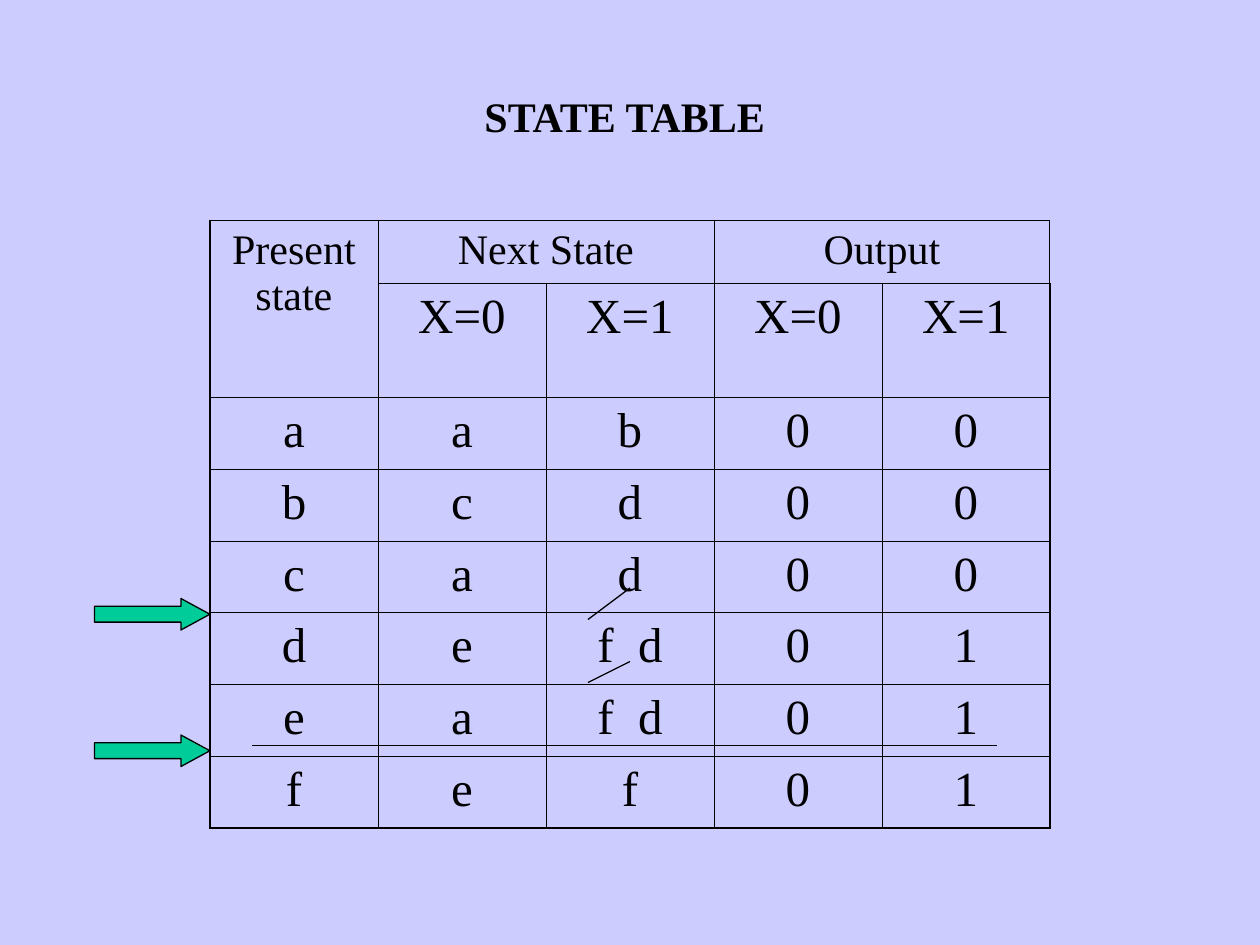
from dataclasses import dataclass

from lxml import etree
from pptx import Presentation
from pptx import util as u
from pptx.dml.color import RGBColor
from pptx.enum import shapes, text
from pptx.oxml import ns


@dataclass(frozen=True)
class Theme:
    background: RGBColor = RGBColor(0xCC, 0xCC, 0xFF)
    ink: RGBColor = RGBColor(0, 0, 0)
    arrow: RGBColor = RGBColor(0x00, 0xCC, 0x99)
    font: str = "Times New Roman"
    heading_size: float = 24
    body_size: float = 28
    line: float = 0.75
    inner_border: float = 0.45
    outer_border: float = 1.08


theme = Theme()

presentation = Presentation()
presentation.slide_width, presentation.slide_height = u.Inches(10), u.Inches(7.5)
UNIT = presentation.slide_width // 120  # the slide is a grid of 120 x 90 units


def write(frame, words, size, bold=False):
    """Put one centred paragraph into a text frame."""
    paragraph = frame.paragraphs[0]
    paragraph.text = words
    paragraph.alignment = text.PP_ALIGN.CENTER
    font = paragraph.font
    font.name, font.size, font.bold = theme.font, u.Pt(size), bold
    font.color.rgb = theme.ink


def set_borders(cell, widths):
    """Draw the cell's left, right, top and bottom borders, widths in points."""
    properties = cell._tc.get_or_add_tcPr()
    for index, (side, width) in enumerate(zip("LRTB", widths)):
        border = etree.Element(ns.qn(f"a:ln{side}"), w=str(u.Pt(width)))
        fill = etree.SubElement(border, ns.qn("a:solidFill"))
        etree.SubElement(fill, ns.qn("a:srgbClr"), val=str(theme.ink))
        properties.insert(index, border)


slide = presentation.slides.add_slide(presentation.slide_layouts[6])
slide.background.fill.solid()
slide.background.fill.fore_color.rgb = theme.background

# State table
ROWS = [
    ["Present state", "Next State", "", "Output", ""],
    ["", "X=0", "X=1", "X=0", "X=1"],
    ["a", "a", "b", "0", "0"],
    ["b", "c", "d", "0", "0"],
    ["c", "a", "d", "0", "0"],
    ["d", "e", "f  d", "0", "1"],
    ["e", "a", "f  d", "0", "1"],
    ["f", "e", "f", "0", "1"],
]
ROW_HEIGHTS = [6, 10.86] + [6.84] * 6
COLUMN_WIDTH = 16
last_row, last_column = len(ROWS) - 1, len(ROWS[0]) - 1

table = slide.shapes.add_table(
    len(ROWS), len(ROWS[0]), 20 * UNIT, 21 * UNIT,
    COLUMN_WIDTH * len(ROWS[0]) * UNIT, int(sum(ROW_HEIGHTS) * UNIT)).table
table.first_row = table.horz_banding = False
for column in table.columns:
    column.width = COLUMN_WIDTH * UNIT
for row, height in zip(table.rows, ROW_HEIGHTS):
    row.height = int(height * UNIT)

for first, last in [((0, 0), (1, 0)), ((0, 1), (0, 2)), ((0, 3), (0, 4))]:
    table.cell(*first).merge(table.cell(*last))

for row_index, row_words in enumerate(ROWS):
    for column_index, words in enumerate(row_words):
        cell = table.cell(row_index, column_index)
        cell.fill.background()
        on_edge = [column_index == 0, column_index == last_column,
                   row_index == 0, row_index == last_row]
        set_borders(cell, [theme.outer_border if edge else theme.inner_border
                           for edge in on_edge])
        if words:
            size = theme.heading_size if row_index == 0 else theme.body_size
            write(cell.text_frame, words, size)

# Title
title = slide.shapes.add_textbox(30 * UNIT, 8 * UNIT, 59 * UNIT, 6 * UNIT)
title.text_frame.word_wrap = True
write(title.text_frame, "STATE TABLE", theme.heading_size, bold=True)

# Arrows pointing at the equivalent states
for top in (70, 57):
    arrow = slide.shapes.add_shape(
        shapes.MSO_SHAPE.RIGHT_ARROW, 9 * UNIT, top * UNIT, 11 * UNIT, 3 * UNIT)
    arrow.adjustments[0], arrow.adjustments[1] = 0.5, 0.92
    arrow.shadow.inherit = False
    arrow.fill.solid()
    arrow.fill.fore_color.rgb = theme.arrow
    arrow.line.color.rgb = theme.ink
    arrow.line.width = u.Pt(theme.line)

# Strokes through the removed row and the replaced states
for ends in [(24, 71, 95, 71), (56, 59, 60, 56), (56, 65, 60, 63)]:
    stroke = slide.shapes.add_connector(
        shapes.MSO_CONNECTOR.STRAIGHT, *(end * UNIT for end in ends))
    stroke.line.color.rgb = theme.ink
    stroke.line.width = u.Pt(theme.line)
    etree.SubElement(stroke._element.spPr, ns.qn("a:effectLst"))

presentation.save("out.pptx")
